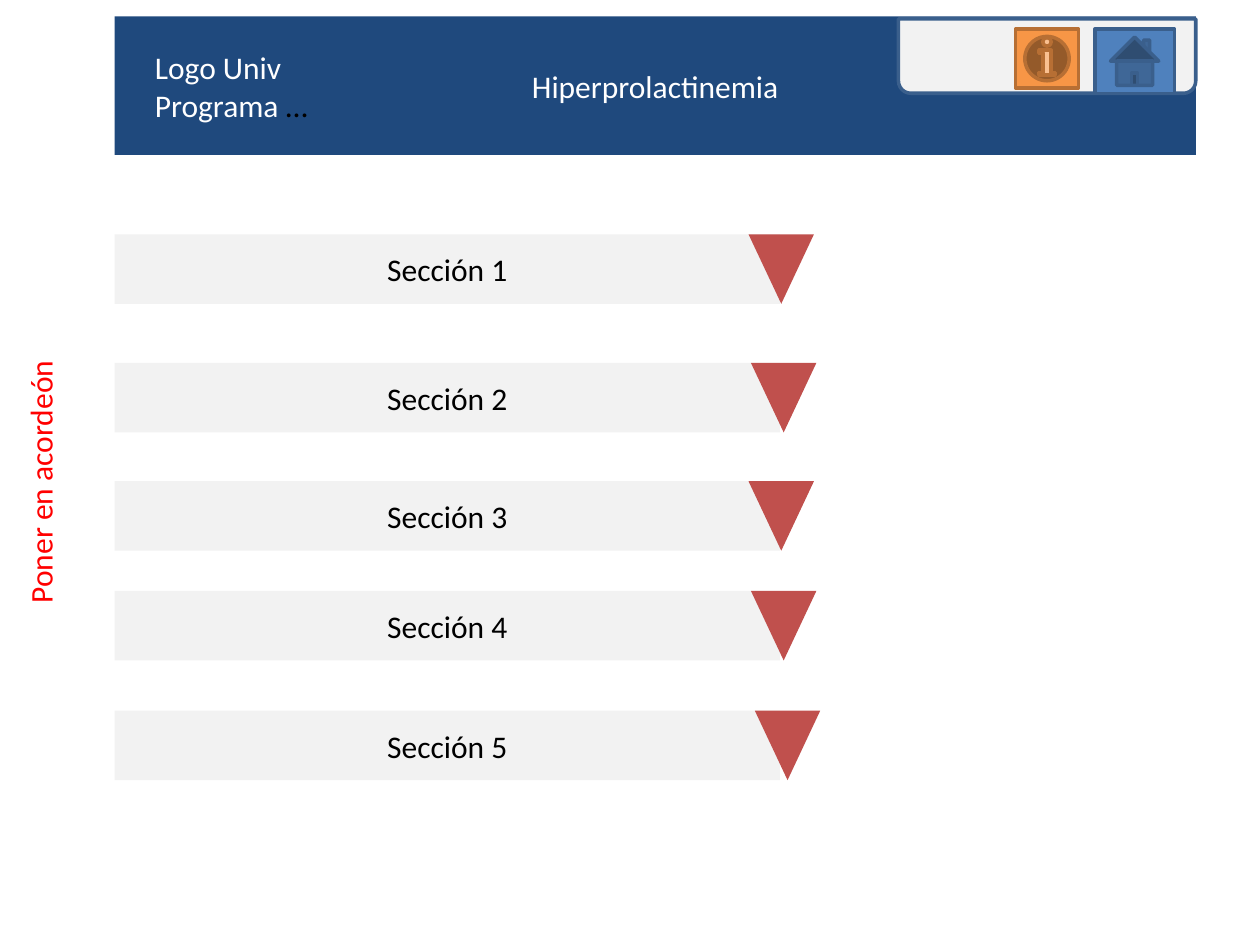
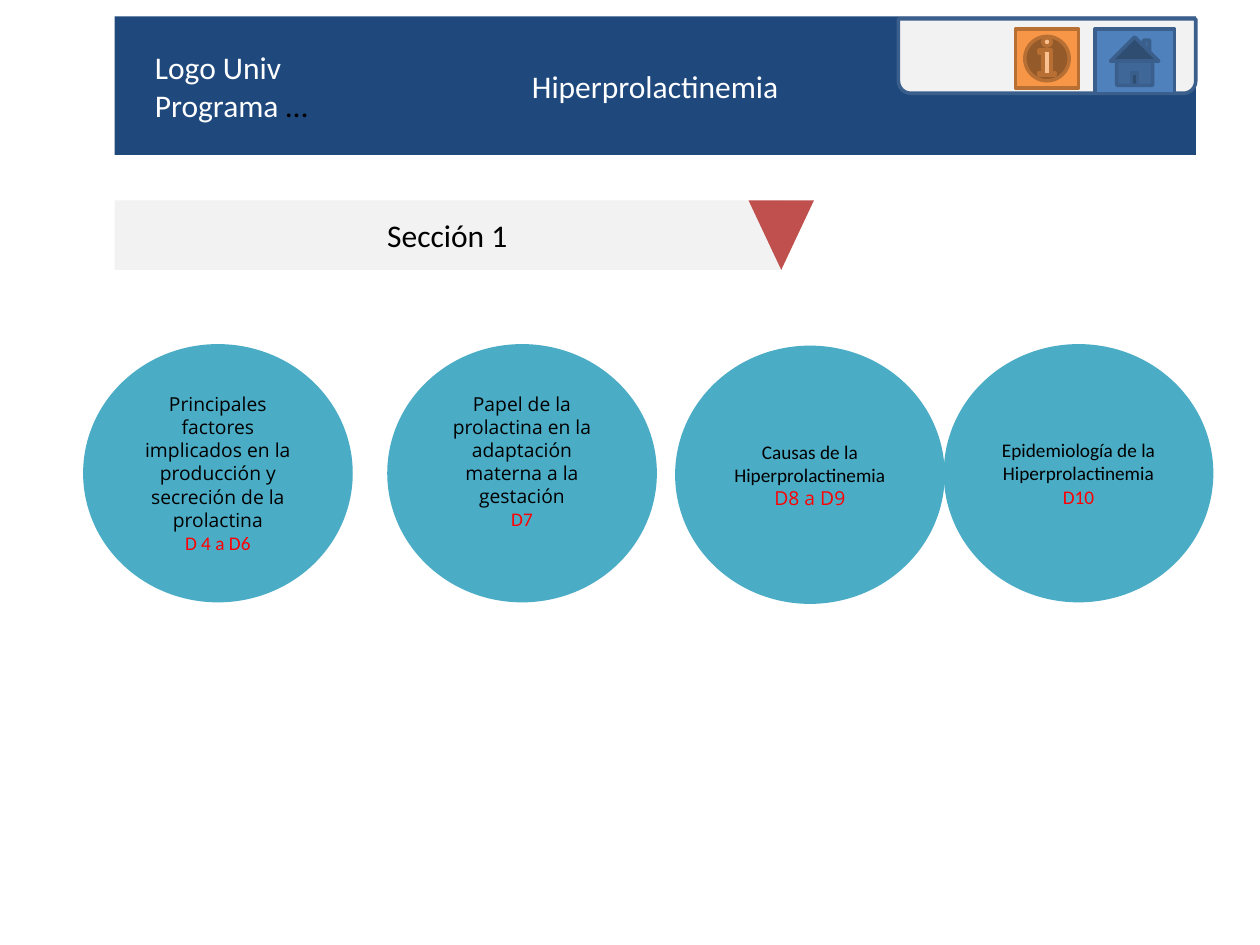
from dataclasses import dataclass

from pptx import Presentation
from pptx.dml.color import RGBColor
from pptx.enum import shapes, text
from pptx.util import Pt

# Content: a paragraph is a list of (wording, font, colour) runs
TITLE = "Hiperprolactinemia"
PROGRAM = [[("Logo Univ", "main", "white")],
           [("Programa ", "main", "white"), ("…", "main", "black")]]
ACCORDION_NOTE = "Poner en acordeón"
# (name, top, left of arrow)
SECTIONS = [
    ("Sección 1", 133.9, 427.7),
    ("Sección 2", 207.4, 429.1),
    ("Sección 3", 275, 427.7),
    ("Sección 4", 337.7, 429.1),
    ("Sección 5", 406.1, 431.3),
]
OPEN_SECTION_TOP = 114.5
# (topic, topic font, slide range, range font, left, top, bottom inset)
TOPICS = [
    ("Principales factores implicados en la producción y secreción de la prolactina",
     "alt", "D 4 a D6", "main", 47.5, 196.6, 3.6),
    ("Papel de la prolactina en la adaptación materna a la gestación",
     "alt", "D7", "main", 221.3, 196.6, 17),
    ("Causas de la Hiperprolactinemia",
     "main", "D8 a D9", "alt", 385.8, 197.5, 3.6),
    ("Epidemiología de la Hiperprolactinemia",
     "main", "D10", "main", 539.3, 196.6, 3.6),
]


@dataclass(frozen=True)
class Theme:
    white: str = "FFFFFF"
    black: str = "000000"
    red: str = "FF0000"
    navy: str = "1F497D"
    grey: str = "F2F2F2"
    arrow: str = "C0504D"
    topic: str = "4BACC6"
    info: str = "F79646"
    info_edge: str = "B76F34"
    home: str = "4F81BD"
    home_edge: str = "3A5F8C"
    main: str = "Calibri"
    alt: str = "Open Sans"
    heading_size: int = 18
    topic_size: int = 11


THEME = Theme()
KIND = shapes.MSO_SHAPE
LEFT = 65.5          # shared left edge of the band and the section bars
BAR_HEIGHT = 39.7


def write(frame, paragraphs, size, align=text.PP_ALIGN.CENTER):
    for index, runs in enumerate(paragraphs):
        paragraph = frame.paragraphs[0] if index == 0 else frame.add_paragraph()
        paragraph.alignment = align
        for wording, font, colour in runs:
            run = paragraph.add_run()
            run.text = wording
            run.font.size = Pt(size)
            run.font.name = getattr(THEME, font)
            run.font.color.rgb = RGBColor.from_string(getattr(THEME, colour))


def draw(slide, kind, box, fill, edge=None, turn=0):
    shape = slide.shapes.add_shape(kind, *map(Pt, box))
    shape.shadow.inherit = False
    shape.rotation = turn
    shape.fill.solid()
    shape.fill.fore_color.rgb = RGBColor.from_string(fill)
    if edge:
        shape.line.color.rgb = RGBColor.from_string(edge)
        shape.line.width = Pt(2)
    else:
        shape.line.fill.background()
    return shape


def add_header(slide):
    band = draw(slide, KIND.RECTANGLE, (LEFT, 9.4, 617.8, 79.2), THEME.navy)
    write(band.text_frame, [[(TITLE, "main", "white")]], THEME.heading_size)

    program = slide.shapes.add_textbox(*map(Pt, (81.4, 23.8, 103.7, 51.1))).text_frame
    program.word_wrap = False
    program.auto_size = text.MSO_AUTO_SIZE.SHAPE_TO_FIT_TEXT
    write(program, PROGRAM, THEME.heading_size, text.PP_ALIGN.LEFT)

    # Navigation tab with its two buttons
    draw(slide, KIND.ROUND_2_SAME_RECTANGLE, (513.4, 10.8, 169.9, 42.5),
         THEME.grey, THEME.home_edge, 180)
    draw(slide, KIND.ACTION_BUTTON_INFORMATION, (580.3, 16.6, 36, 33.8),
         THEME.info, THEME.info_edge)
    draw(slide, KIND.ACTION_BUTTON_HOME, (625.7, 16.6, 45.4, 36.7),
         THEME.home, THEME.home_edge)


def add_section(slide, name, top, arrow_left):
    bar = draw(slide, KIND.RECTANGLE, (LEFT, top, 380.2, BAR_HEIGHT), THEME.grey)
    write(bar.text_frame, [[(name, "main", "black")]], THEME.heading_size)
    draw(slide, KIND.ISOSCELES_TRIANGLE, (arrow_left, top, 37.4, BAR_HEIGHT),
         THEME.arrow, turn=180)


def add_accordion_note(slide):
    note = slide.shapes.add_textbox(*map(Pt, (8.6, 173.5, 36, 203.8))).text_frame
    note.word_wrap = True
    note.auto_size = text.MSO_AUTO_SIZE.SHAPE_TO_FIT_TEXT
    note._txBody.bodyPr.set("vert", "vert270")
    write(note, [[(ACCORDION_NOTE, "main", "red")]], THEME.heading_size)


def add_topic(slide, topic, topic_font, pages, pages_font, left, top, inset):
    circle = draw(slide, KIND.OVAL, (left, top, 154.1, 147.6), THEME.topic)
    circle.text_frame.margin_bottom = Pt(inset)
    write(circle.text_frame,
          [[(topic, topic_font, "black")], [(pages, pages_font, "red")]],
          THEME.topic_size)


def main():
    deck = Presentation()
    deck.slide_width, deck.slide_height = Pt(720), Pt(540)
    index, opened = (deck.slides.add_slide(deck.slide_layouts[6]) for _ in range(2))

    # Index of sections
    add_header(index)
    for section in SECTIONS:
        add_section(index, *section)
    add_accordion_note(index)

    # First section, opened
    add_header(opened)
    name, _, arrow_left = SECTIONS[0]
    add_section(opened, name, OPEN_SECTION_TOP, arrow_left)
    for topic in TOPICS:
        add_topic(opened, *topic)

    deck.save("out.pptx")


if __name__ == "__main__":
    main()
